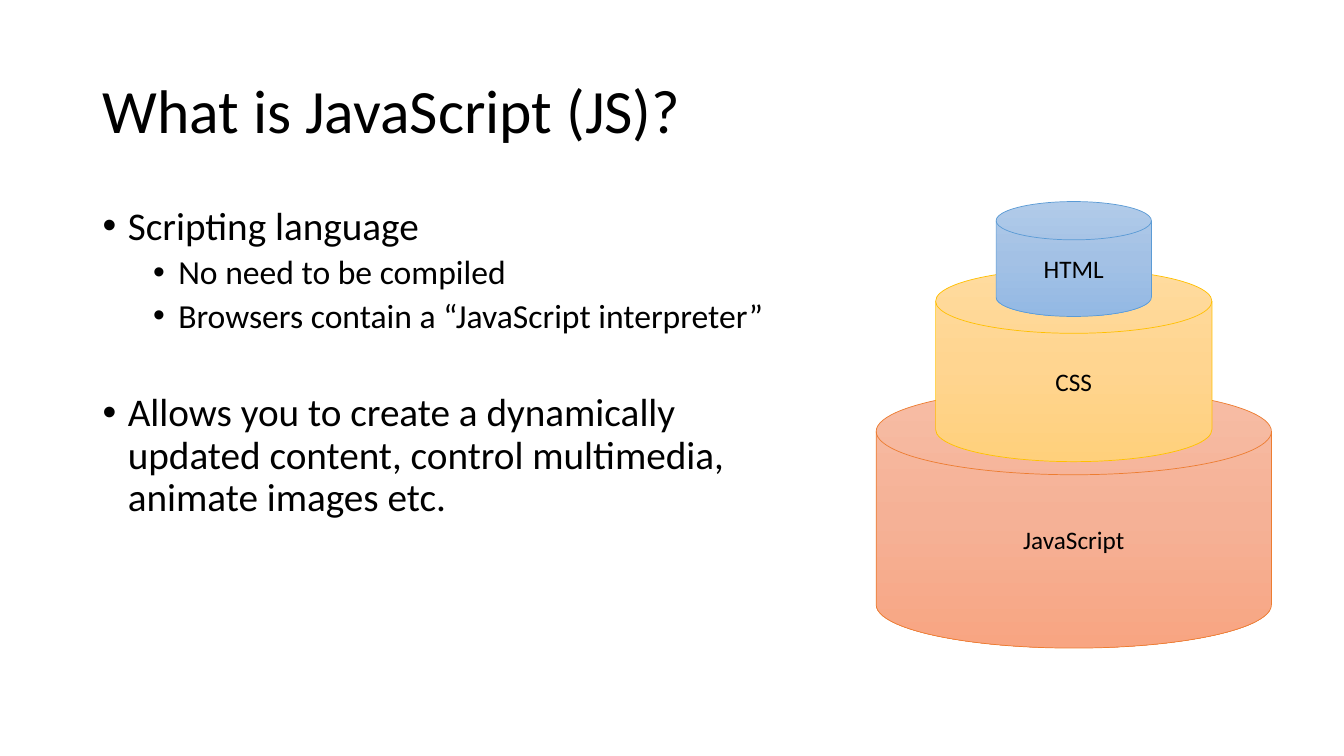
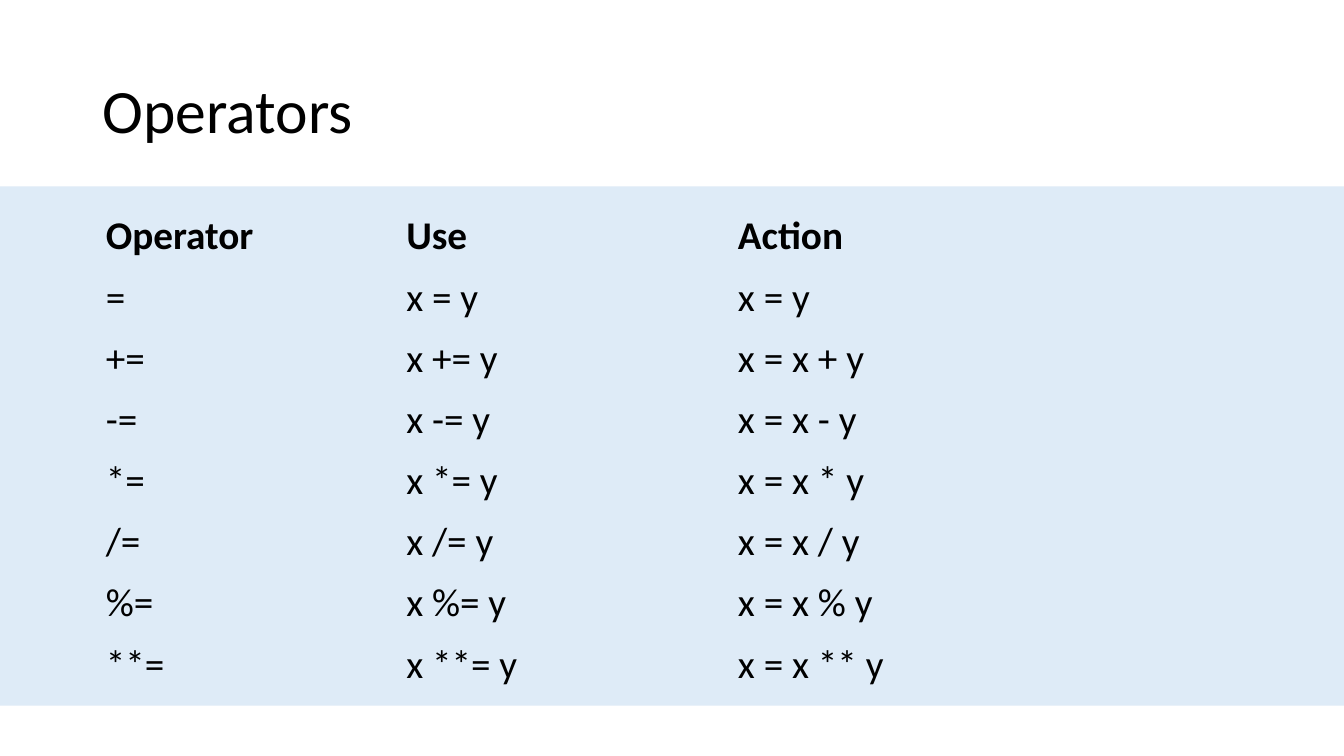
from copy import deepcopy

from lxml.etree import SubElement
from pptx import Presentation
from pptx.dml.color import RGBColor
from pptx.enum.shapes import MSO_SHAPE
from pptx.enum.text import MSO_ANCHOR, PP_ALIGN
from pptx.oxml.ns import qn
from pptx.util import Inches, Pt

BULLETS_TITLE = "What is JavaScript (JS)?"
BULLETS = [
    (0, 10, "Scripting language"),
    (1, 5, "No need to be compiled"),
    (1, 5, "Browsers contain a “JavaScript interpreter”"),
    (0, 41, "Allows you to create a dynamically updated content, "
            "control multimedia, animate images etc."),
]
BULLET_LEVELS = [{"size": 28, "indent": 0.25}, {"size": 24, "indent": 0.75}]
DISKS = [
    ("JavaScript", 3.85, 3.92, 2.58, "ED7D31", ("F7BDA5", "F5B196", "F8A582")),
    ("CSS", 2.67, 2.74, 1.91, "FFC000", ("FFDB9E", "FFD590", "FFD07C")),
    ("HTML", 2, 1.54, 1.14, "5B9BD5", ("B1CBE9", "A3C1E5", "93B9E4")),
]
OPERATORS_TITLE = "Operators"
OPERATORS = [
    ("Operator", "Use", "Action"),
    ("=", "x = y", "x = y"),
    ("+=", "x += y", "x = x + y"),
    ("-=", "x -= y", "x = x - y"),
    ("*=", "x *= y", "x = x * y"),
    ("/=", "x /= y", "x = x / y"),
    ("%=", "x %= y", "x = x % y"),
    ("**=", "x **= y", "x = x ** y"),
]
COLUMN_WIDTHS = (3.04, 3.29, 4.82)
ROW_HEIGHT = 0.6

FONT = "Calibri"
TEXT_COLOR = "000000"
BAND_COLOR = "DEEBF7"
SLIDE_WIDTH, SLIDE_HEIGHT = 13.33, 7.5
MARGIN = 0.92
TITLE_TOP, TITLE_HEIGHT = 0.4, 1.45
BODY_TOP, BODY_WIDTH, BODY_HEIGHT = 2, 7.17, 4.98
DISK_CENTER = 10.65
BAND_TOP, BAND_HEIGHT = TITLE_TOP + TITLE_HEIGHT, 5.15
TABLE_TOP = 2.04
CELL_MARGIN, FIRST_CELL_MARGIN = 0.07, 0.13
PLAIN_TABLE_STYLE = "{2D5ABB26-0587-4C30-8999-92F81FD0307C}"


def color(value):
    return RGBColor.from_string(value)


def box(left, top, width, height):
    return [Inches(length) for length in (left, top, width, height)]


def write(paragraph, text, size=18, bold=False, align=PP_ALIGN.LEFT,
          line_spacing=None, before=0, indent=None):
    run = paragraph.add_run()
    run.text = text
    run.font.name = FONT
    run.font.size = Pt(size)
    run.font.bold = bold
    run.font.color.rgb = color(TEXT_COLOR)
    paragraph.alignment = align
    paragraph.space_before = Pt(before)
    if line_spacing:
        paragraph.line_spacing = line_spacing
    if indent:
        properties = paragraph._p.get_or_add_pPr()
        properties.set("marL", str(Inches(indent)))
        properties.set("indent", str(-Inches(0.25)))
        SubElement(properties, qn("a:buFont"), typeface="Arial")
        SubElement(properties, qn("a:buChar"), char="•")


def add_text_frame(slide, left, top, width, height):
    frame = slide.shapes.add_textbox(*box(left, top, width, height)).text_frame
    frame.word_wrap = True
    return frame


def add_title(slide, text):
    frame = add_text_frame(slide, MARGIN, TITLE_TOP,
                           SLIDE_WIDTH - 2 * MARGIN, TITLE_HEIGHT)
    frame.vertical_anchor = MSO_ANCHOR.MIDDLE
    write(frame.paragraphs[0], text, size=44, line_spacing=0.9)


def add_bullets(slide):
    frame = add_text_frame(slide, MARGIN, BODY_TOP, BODY_WIDTH, BODY_HEIGHT)
    for index, (level, before, text) in enumerate(BULLETS):
        paragraph = frame.add_paragraph() if index else frame.paragraphs[0]
        paragraph.level = level
        write(paragraph, text, before=before, line_spacing=0.9,
              **BULLET_LEVELS[level])


def fill_gradient(shape, stop_colors):
    shape.fill.gradient()
    shape.fill.gradient_angle = 270
    stop_list = shape._element.spPr.find(".//" + qn("a:gsLst"))
    stop_list.insert(1, deepcopy(stop_list[0]))
    for index, stop in enumerate(shape.fill.gradient_stops):
        stop.position = index / 2
        stop.color.rgb = color(stop_colors[index])


def add_disk(slide, text, top, width, height, line_color, stop_colors):
    shape = slide.shapes.add_shape(
        MSO_SHAPE.FLOWCHART_MAGNETIC_DISK,
        *box(DISK_CENTER - width / 2, top, width, height))
    shape.shadow.inherit = False
    fill_gradient(shape, stop_colors)
    shape.line.color.rgb = color(line_color)
    shape.line.width = Pt(0.5)
    shape.text_frame.vertical_anchor = MSO_ANCHOR.MIDDLE
    write(shape.text_frame.paragraphs[0], text, align=PP_ALIGN.CENTER)


def add_band(slide):
    band = slide.shapes.add_shape(
        MSO_SHAPE.RECTANGLE, *box(0, BAND_TOP, SLIDE_WIDTH, BAND_HEIGHT))
    band.shadow.inherit = False
    band.fill.solid()
    band.fill.fore_color.rgb = color(BAND_COLOR)
    band.line.fill.background()


def add_operator_table(slide):
    table = slide.shapes.add_table(
        len(OPERATORS), len(COLUMN_WIDTHS),
        *box(MARGIN, TABLE_TOP, sum(COLUMN_WIDTHS),
             ROW_HEIGHT * len(OPERATORS))).table
    table.horz_banding = False
    table._tbl.tblPr.find(qn("a:tableStyleId")).text = PLAIN_TABLE_STYLE
    for column, width in zip(table.columns, COLUMN_WIDTHS):
        column.width = Inches(width)
    for row, texts in enumerate(OPERATORS):
        for column, text in enumerate(texts):
            cell = table.cell(row, column)
            cell.fill.background()
            cell.margin_left = Inches(CELL_MARGIN if column else FIRST_CELL_MARGIN)
            cell.margin_right = cell.margin_top = cell.margin_bottom = Inches(CELL_MARGIN)
            write(cell.text_frame.paragraphs[0], text, size=28, bold=row == 0)


presentation = Presentation()
presentation.slide_width = Inches(SLIDE_WIDTH)
presentation.slide_height = Inches(SLIDE_HEIGHT)
blank_layout = presentation.slide_layouts[6]

bullets_slide = presentation.slides.add_slide(blank_layout)
add_title(bullets_slide, BULLETS_TITLE)
add_bullets(bullets_slide)
for disk in DISKS:
    add_disk(bullets_slide, *disk)

operators_slide = presentation.slides.add_slide(blank_layout)
add_band(operators_slide)
add_title(operators_slide, OPERATORS_TITLE)
add_operator_table(operators_slide)

presentation.save("out.pptx")
